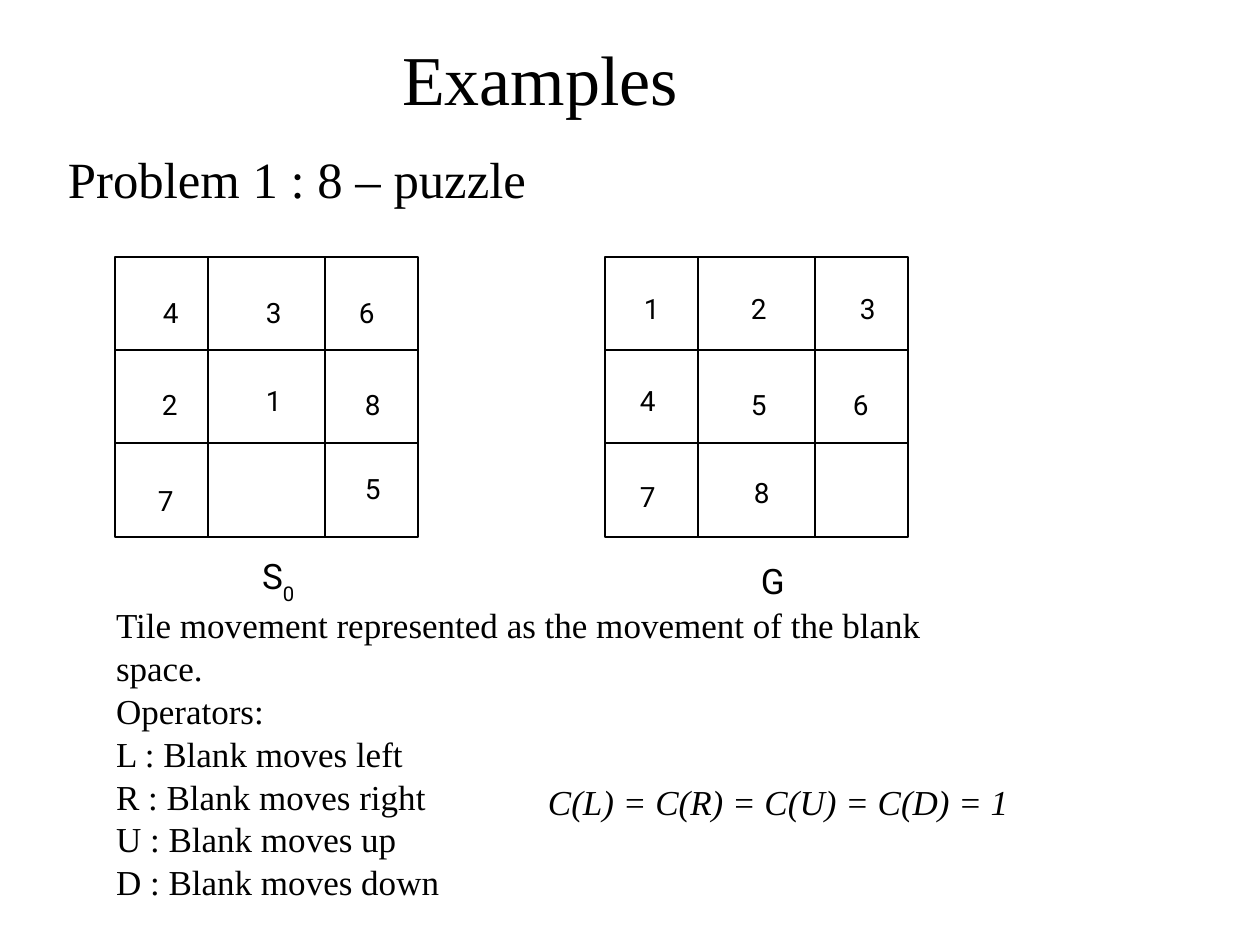
from lxml.etree import SubElement
from pptx import Presentation
from pptx.dml.color import RGBColor
from pptx.enum.shapes import MSO_CONNECTOR, MSO_SHAPE
from pptx.enum.text import MSO_ANCHOR, MSO_AUTO_SIZE, PP_ALIGN
from pptx.oxml.ns import qn
from pptx.util import Pt

EMU_PER_PX = 914400 / 126
BLACK = RGBColor(0, 0, 0)
SERIF = "Times New Roman"
SANS = "Roboto"

GRID_TOP = 257
GRID_WIDTH = 303
GRID_HEIGHT = 280
COLUMN_LINES = (93, 210)
ROW_LINES = (93, 186)

START_TILES = [
    ("4", 152, 290), ("3", 255, 290), ("6", 348, 290),
    ("2", 151, 382), ("1", 255, 378), ("8", 354, 382),
    ("7", 147, 478), ("5", 354, 466),
]
GOAL_TILES = [
    ("1", 633, 286), ("2", 740, 286), ("3", 849, 286),
    ("4", 629, 378), ("5", 740, 382), ("6", 842, 382),
    ("7", 629, 474), ("8", 743, 470),
]
OPERATORS = """Tile movement represented as the movement of the blank space.
Operators:
L : Blank moves left
R : Blank moves right
U : Blank moves up
D : Blank moves down"""


def px(length):
    return round(length * EMU_PER_PX)


def write_text(holder, text, size=20, font=SERIF, italic=False,
               subscript="", wrap=True, indent=0):
    frame = holder.text_frame
    frame.auto_size = MSO_AUTO_SIZE.NONE
    frame.word_wrap = wrap
    frame.vertical_anchor = MSO_ANCHOR.TOP
    frame.margin_left = px(11 + indent)
    frame.margin_right = px(11)
    frame.margin_top = frame.margin_bottom = px(5)
    frame.text = text
    if subscript:
        lowered = frame.paragraphs[0].add_run()
        lowered.text = subscript
        lowered._r.get_or_add_rPr().set("baseline", "-33000")
    for paragraph in frame.paragraphs:
        paragraph.alignment = PP_ALIGN.LEFT
        paragraph.line_spacing = 1.02
        paragraph.space_before = Pt(0)
        for run in paragraph.runs:
            run.font.name = font
            run.font.size = Pt(size)
            run.font.italic = italic
            run.font.color.rgb = BLACK


def add_text(slide, text, left, top, width, height, **text_format):
    box = slide.shapes.add_textbox(px(left), px(top), px(width), px(height))
    write_text(box, text, **text_format)


def fill_placeholder(holder, text, left, top, width, height, **text_format):
    holder.left, holder.top = px(left), px(top)
    holder.width, holder.height = px(width), px(height)
    write_text(holder, text, **text_format)


def remove_bullets(holder):
    for paragraph in holder.text_frame.paragraphs:
        properties = paragraph._p.get_or_add_pPr()
        properties.set("marL", "0")
        properties.set("indent", "0")
        SubElement(properties, qn("a:buNone"))


def add_line(slide, x1, y1, x2, y2):
    line = slide.shapes.add_connector(
        MSO_CONNECTOR.STRAIGHT, px(x1), px(y1), px(x2), px(y2))
    line.line.color.rgb = BLACK
    line.line.width = Pt(0.75)
    SubElement(line._element.spPr, qn("a:effectLst"))


def add_puzzle(slide, left, tiles):
    board = slide.shapes.add_shape(
        MSO_SHAPE.RECTANGLE, px(left), px(GRID_TOP), px(GRID_WIDTH), px(GRID_HEIGHT))
    board.shadow.inherit = False
    board.fill.background()
    board.line.color.rgb = BLACK
    board.line.width = Pt(0.75)
    for offset in COLUMN_LINES:
        add_line(slide, left + offset, GRID_TOP, left + offset, GRID_TOP + GRID_HEIGHT)
    for offset in ROW_LINES:
        add_line(slide, left, GRID_TOP + offset, left + GRID_WIDTH, GRID_TOP + offset)
    for number, tile_left, tile_top in tiles:
        add_text(slide, number, tile_left, tile_top, 39, 45,
                 size=16, font=SANS, wrap=False)


def main():
    presentation = Presentation()
    presentation.slide_width, presentation.slide_height = px(1260), px(945)
    slide = presentation.slides.add_slide(presentation.slide_layouts[1])

    fill_placeholder(slide.shapes.title, "Examples", 29, 29, 1114, 97,
                     size=40, indent=362)
    add_text(slide, "Problem 1 : 8 – puzzle", 57, 142, 1172, 73, size=29)

    add_puzzle(slide, 115, START_TILES)
    add_puzzle(slide, 605, GOAL_TILES)
    add_text(slide, "S", 251, 549, 57, 63, font=SANS, subscript="0", wrap=False)
    add_text(slide, "G", 750, 554, 49, 54, font=SANS, wrap=False)

    operators = slide.placeholders[1]
    fill_placeholder(operators, OPERATORS, 105, 598, 915, 346)
    remove_bullets(operators)
    add_text(slide, "C(L) = C(R) = C(U) = C(D) = 1", 537, 775, 543, 54, italic=True)

    presentation.save("out.pptx")


if __name__ == "__main__":
    main()
